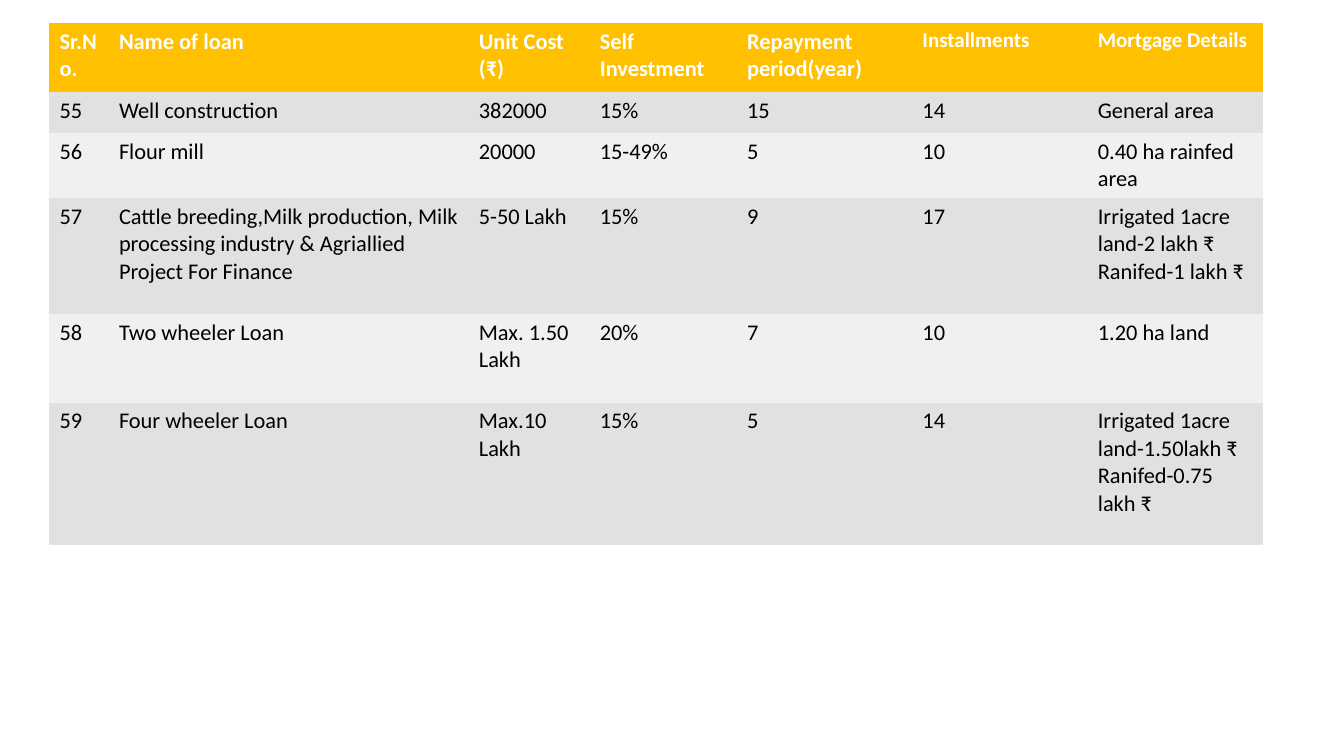
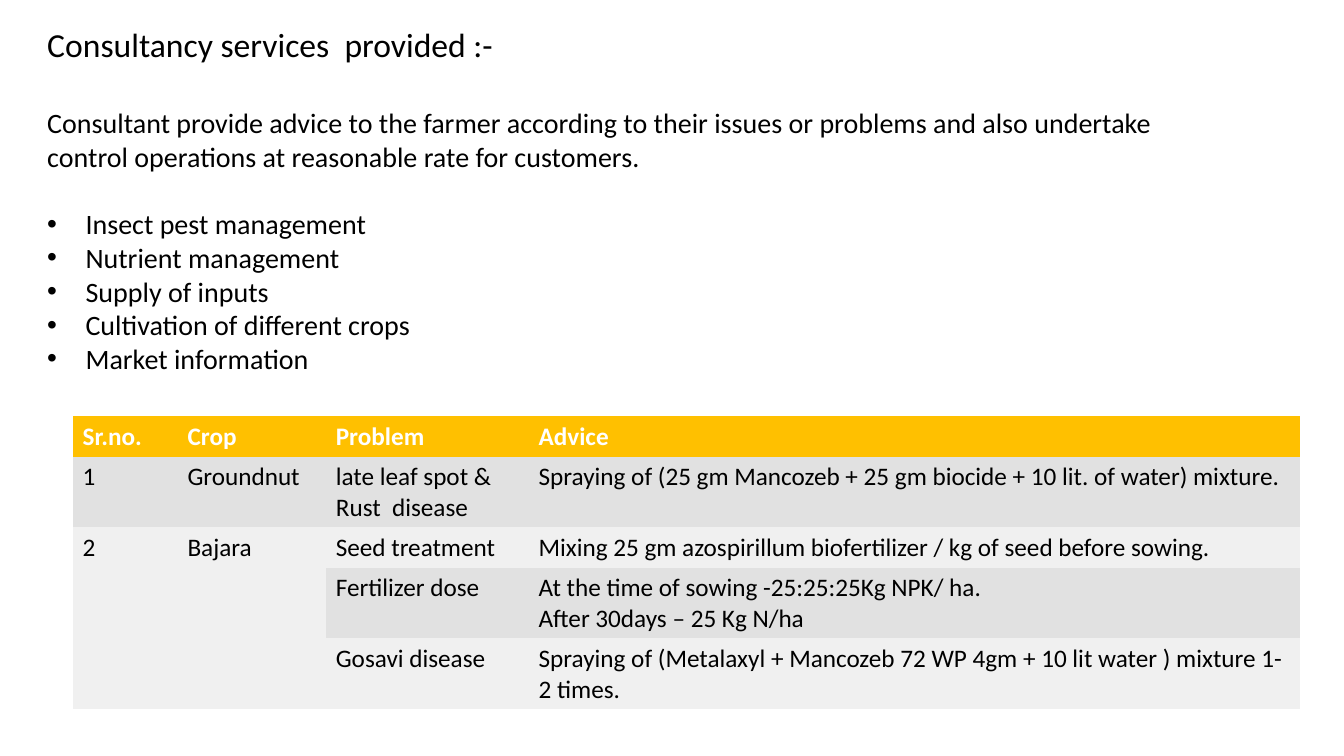
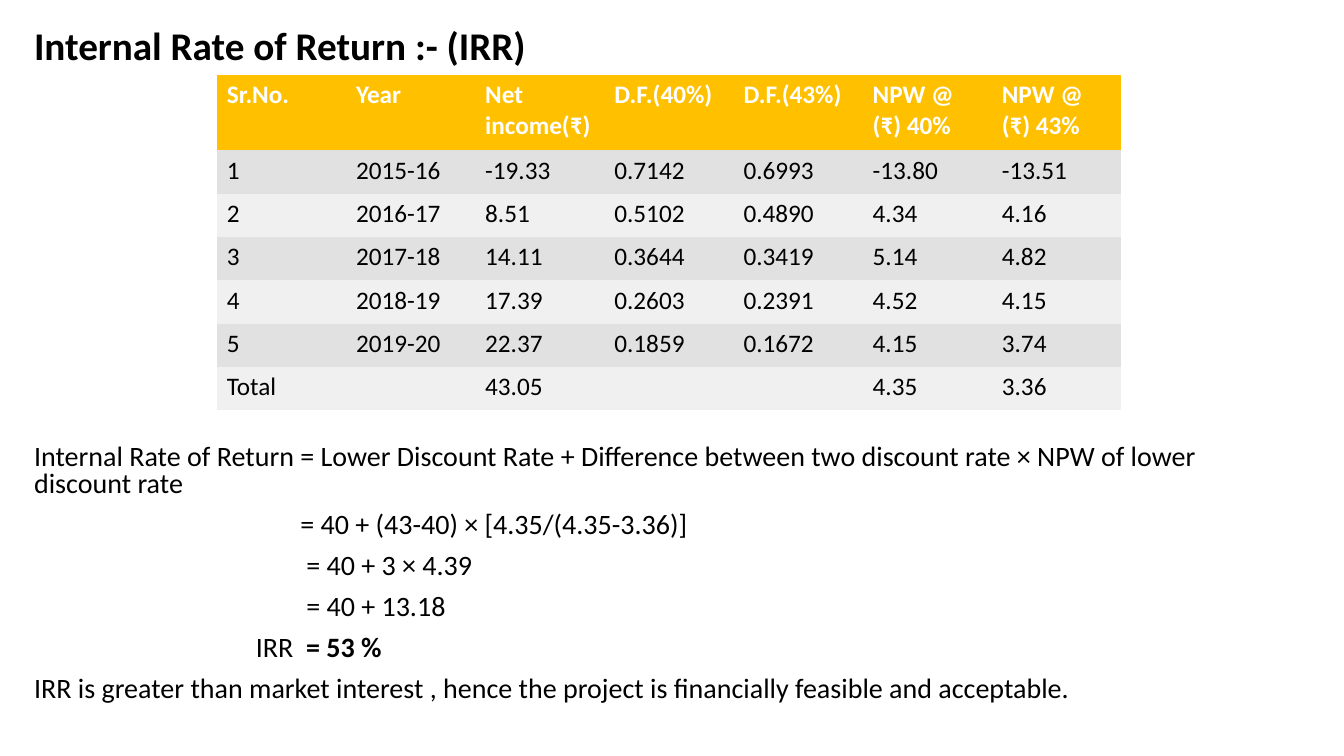
from dataclasses import dataclass

from lxml import etree
from pptx import Presentation
from pptx import util as u
from pptx.dml.color import RGBColor
from pptx.oxml.ns import qn


@dataclass(frozen=True)
class Theme:
    width: float = 13.33
    height: float = 7.5
    font: str = "Calibri"
    ink: str = "000000"
    header_ink: str = "FFFFFF"
    header: str = "FFC000"
    bands: tuple = ("E1E1E1", "F0F0F0")
    title: int = 28
    heading: int = 24
    body: int = 20
    table: int = 18
    small: int = 16
    tight: int = 15
    bullet_indent: float = 0.38
    plain_table: str = "{2D5ABB26-0587-4C30-8999-92F81FD0307C}"


T = Theme()


def place(left, top, width, height):
    """Turn percentages of the slide into lengths."""
    return (u.Inches(T.width * left / 100), u.Inches(T.height * top / 100),
            u.Inches(T.width * width / 100), u.Inches(T.height * height / 100))


def shares(total, weights):
    return [int(total * w / sum(weights)) for w in weights]


def write(p, text, size=T.body, color=T.ink, bold=False, before=0, line=None,
          indent=0, bullet=False):
    """Fill a paragraph; text is a string or a list of (string, bold) runs."""
    pPr = p._p.get_or_add_pPr()
    hang = T.bullet_indent if bullet else 0
    pPr.set("marL", str(u.Inches(indent + hang)))
    pPr.set("indent", str(-u.Inches(hang)))
    if line:
        p.line_spacing = line
    if before:
        p.space_before = u.Pt(before)
    if bullet:
        etree.SubElement(pPr, qn("a:buFont")).set("typeface", "Arial")
        etree.SubElement(pPr, qn("a:buChar")).set("char", "•")
    for part, strong in [(text, bold)] if isinstance(text, str) else text:
        r = p.add_run()
        r.text = part
        r.font.name, r.font.size, r.font.bold = T.font, u.Pt(size), strong
        r.font.color.rgb = RGBColor.from_string(color)


def write_all(tf, items):
    """Write (text, format) pairs as the paragraphs of a text frame."""
    for i, (text, fmt) in enumerate(items):
        write(tf.paragraphs[0] if i == 0 else tf.add_paragraph(), text, **fmt)


def add_text(slide, box, items):
    tf = slide.shapes.add_textbox(*place(*box)).text_frame
    tf.word_wrap = True
    write_all(tf, items)


def add_table(slide, box, cols, rows, data, size=T.table, header_sizes=None):
    """Column and row sizes are weights; None marks a cell merged upwards."""
    left, top, width, height = place(*box)
    table = slide.shapes.add_table(len(rows), len(cols), left, top, width, height).table
    table._tbl.tblPr[0].text = T.plain_table
    table.horz_banding = False
    for col, w in zip(table.columns, shares(width, cols)):
        col.width = w
    for row, h in zip(table.rows, shares(height, rows)):
        row.height = h
    for i, values in enumerate(data):
        fill = T.bands[(i - 1) % 2] if i else T.header
        for j, value in enumerate(values):
            cell = table.cell(i, j)
            cell.fill.solid()
            cell.fill.fore_color.rgb = RGBColor.from_string(fill)
            if not value:
                continue
            fmt = dict(size=size)
            if i == 0:
                fmt = dict(size=(header_sizes or {}).get(j, size),
                           color=T.header_ink, bold=True)
            write_all(cell.text_frame, [(t, fmt) for t in value.split("\n")])
    return table


def loans(slide):
    data = [
        ("Sr.No.", "Name of loan", "Unit Cost (₹)", "Self Investment",
         "Repayment period(year)", "Installments", "Mortgage Details"),
        ("55", "Well construction", "382000", "15%", "15", "14", "General area"),
        ("56", "Flour mill", "20000", "15-49%", "5", "10", "0.40 ha rainfed area"),
        ("57", "Cattle breeding,Milk production, Milk processing industry & "
         "Agriallied Project For Finance", "5-50 Lakh", "15%", "9", "17",
         "Irrigated 1acre land-2 lakh ₹\nRanifed-1 lakh ₹"),
        ("58", "Two wheeler Loan", "Max. 1.50 Lakh", "20%", "7", "10", "1.20 ha land"),
        ("59", "Four wheeler Loan", "Max.10 Lakh", "15%", "5", "14",
         "Irrigated 1acre land-1.50lakh ₹\nRanifed-0.75 lakh ₹"),
    ]
    table = add_table(slide, (3.68, 3.07, 90.32, 68.93),
                      (59, 357, 120, 146, 174, 174, 174), (68, 41, 64, 115, 88, 141),
                      data, size=T.small, header_sizes={5: T.tight, 6: T.tight})
    for j in (5, 6):
        cell = table.cell(0, j)
        cell.margin_top = cell.margin_bottom = u.Inches(0.04)


def consultancy(slide):
    services = ("Insect pest management", "Nutrient management", "Supply of inputs",
                "Cultivation of different crops", "Market information")
    add_text(slide, (2.78, 2.53, 87.1, 52.53), [
        ("Consultancy services  provided :-", dict(size=T.heading)),
        ("Consultant provide advice to the farmer according to their issues or problems "
         "and also undertake control operations at reasonable rate for customers.",
         dict(before=29.3)),
        *[(s, dict(bullet=True, before=0 if i else 24.4)) for i, s in enumerate(services)],
    ])
    data = [
        ("Sr.no.", "Crop", "Problem", "Advice"),
        ("1", "Groundnut", "late leaf spot & Rust  disease",
         "Spraying of (25 gm Mancozeb + 25 gm biocide + 10 lit. of water) mixture."),
        ("2", "Bajara", "Seed treatment",
         "Mixing 25 gm azospirillum biofertilizer / kg of seed before sowing."),
        (None, None, "Fertilizer dose",
         "At the time of sowing -25:25:25Kg NPK/ ha.\nAfter 30days – 25 Kg N/ha"),
        (None, None, "Gosavi disease",
         "Spraying of (Metalaxyl + Mancozeb 72 WP 4gm + 10 lit water ) mixture 1-2 times."),
    ]
    table = add_table(slide, (5.4, 55.07, 91.3, 38.67), (104, 147, 201, 764),
                      (4, 7, 4, 7, 7), data)
    for j in (0, 1):
        table.cell(2, j).merge(table.cell(4, j))


def rate_of_return(slide):
    line = dict(line=0.8)
    step = dict(line=0.8, before=10)
    add_text(slide, (1.8, 3.33, 91.3, 6.4),
             [("Internal Rate of Return :- (IRR)", dict(size=T.title, bold=True, **line))])
    data = [
        ("Sr.No.", "Year", "Net income(₹)", "D.F.(40%)", "D.F.(43%)",
         "NPW @ (₹) 40%", "NPW @ (₹) 43%"),
        ("1", "2015-16", "-19.33", "0.7142", "0.6993", "-13.80", "-13.51"),
        ("2", "2016-17", "8.51", "0.5102", "0.4890", "4.34", "4.16"),
        ("3", "2017-18", "14.11", "0.3644", "0.3419", "5.14", "4.82"),
        ("4", "2018-19", "17.39", "0.2603", "0.2391", "4.52", "4.15"),
        ("5", "2019-20", "22.37", "0.1859", "0.1672", "4.15", "3.74"),
        ("Total", "", "43.05", "", "", "4.35", "3.36"),
    ]
    add_table(slide, (16.13, 9.87, 67.29, 44.4), [1] * 7, [75] + [43] * 6, data)
    add_text(slide, (1.8, 58.27, 91.3, 38), [
        ("Internal Rate of Return = Lower Discount Rate + Difference between two "
         "discount rate × NPW of lower discount rate", line),
        ("= 40 + (43-40) × [4.35/(4.35-3.36)]", dict(indent=2.64, **step)),
        ("= 40 + 3 × 4.39", dict(indent=2.7, **step)),
        ("= 40 + 13.18", dict(indent=2.7, **step)),
        ([("IRR  ", False), ("= 53 %", True)], dict(indent=2.2, **step)),
        ("IRR is greater than market interest , hence the project is financially "
         "feasible and acceptable.", step),
    ])


def main():
    prs = Presentation()
    prs.slide_width, prs.slide_height = u.Inches(T.width), u.Inches(T.height)
    for build in (loans, consultancy, rate_of_return):
        build(prs.slides.add_slide(prs.slide_layouts[6]))
    prs.save("out.pptx")


if __name__ == "__main__":
    main()
